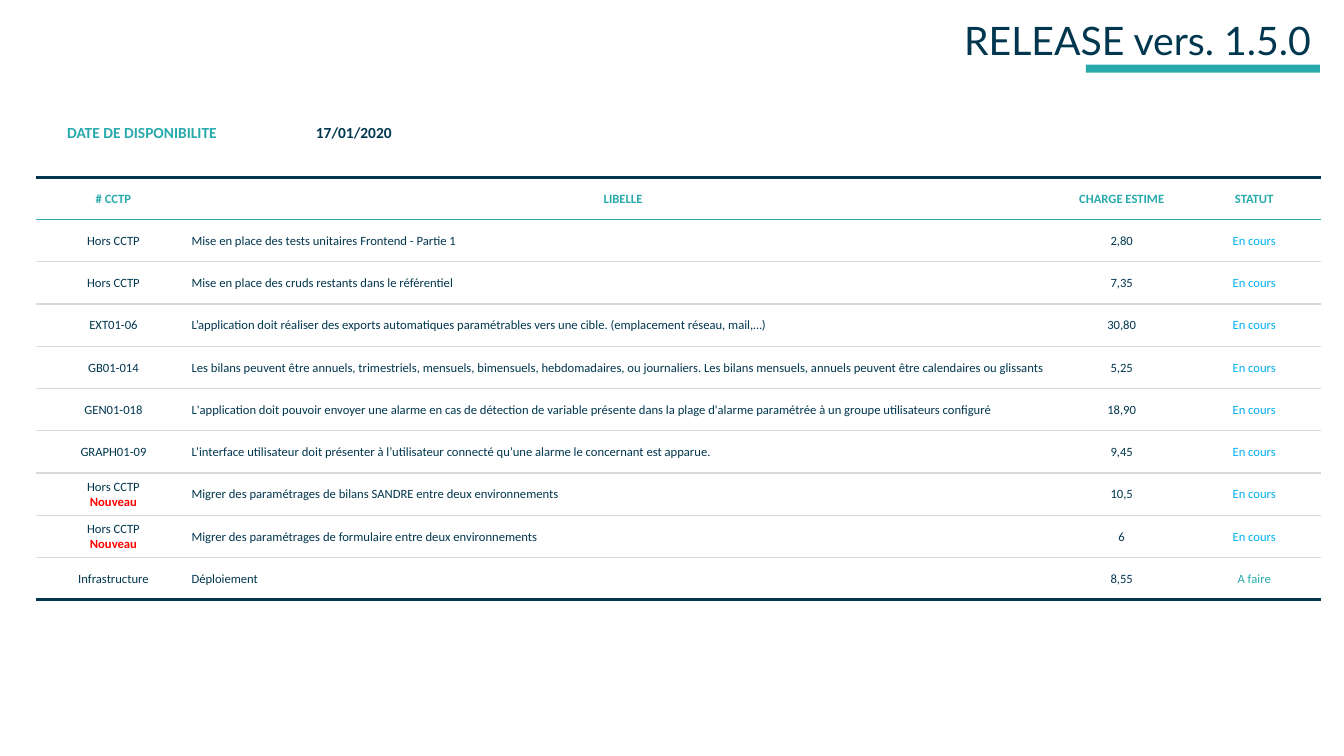
from lxml import etree
from pptx import Presentation
from pptx.dml.color import RGBColor
from pptx.enum.shapes import MSO_SHAPE
from pptx.enum.text import MSO_ANCHOR, MSO_AUTO_SIZE, PP_ALIGN
from pptx.oxml.ns import qn
from pptx.util import Inches, Pt

LEFT, CENTER, RIGHT = PP_ALIGN.LEFT, PP_ALIGN.CENTER, PP_ALIGN.RIGHT
MIDDLE, BOTTOM = MSO_ANCHOR.MIDDLE, MSO_ANCHOR.BOTTOM
NAVY, TEAL, BLUE, RED = "00374F", "28AAAD", "00B0F0", "FF0000"
GRAY, WHITE = "D9D9D9", "FFFFFF"
rgb = RGBColor.from_string


def fill_cell(cell, lines, size, align, top=None, bottom=None):
    """Write (text, colour, bold) lines; top and bottom are (colour, points)."""
    cell.vertical_anchor = MIDDLE
    cell.margin_left = cell.margin_right = cell.margin_top = Inches(0.01)
    cell.margin_bottom = 0
    cell.text = "\n".join(text for text, _, _ in lines)
    for paragraph, (_, colour, bold) in zip(cell.text_frame.paragraphs, lines):
        paragraph.alignment = align
        paragraph.font.name = "Calibri"
        paragraph.font.size = Pt(size)
        paragraph.font.bold = bold
        paragraph.font.color.rgb = rgb(colour)
    # Borders come before the fill in the cell properties
    properties = cell._tc.get_or_add_tcPr()
    for side, border in (("L", None), ("R", None), ("T", top), ("B", bottom)):
        edge = etree.SubElement(properties, qn(f"a:ln{side}"))
        if border:
            edge.set("w", str(Pt(border[1])))
            solid = etree.SubElement(edge, qn("a:solidFill"))
            etree.SubElement(solid, qn("a:srgbClr"), val=border[0])
        else:
            etree.SubElement(edge, qn("a:noFill"))
    cell.fill.solid()
    cell.fill.fore_color.rgb = rgb(WHITE)


def add_grid(left, top, widths, height, row_count):
    """Add an unbanded table with equal rows."""
    grid = slide.shapes.add_table(row_count, len(widths), Inches(left), Inches(top),
                                  Inches(sum(widths)), Inches(height * row_count)).table
    grid.first_row = grid.horz_banding = False
    for column, width in zip(grid.columns, widths):
        column.width = Inches(width)
    return grid


prs = Presentation()
prs.slide_width, prs.slide_height = Inches(13.33), Inches(7.5)
slide = prs.slides.add_slide(prs.slide_layouts[5])

# Title
title = slide.shapes.title
title.left, title.top = Inches(2.54), Inches(0)
title.width, title.height = Inches(10.56), Inches(0.68)
title.text = "RELEASE vers. 1.5.0"
title.text_frame.auto_size = MSO_AUTO_SIZE.NONE
title.text_frame.vertical_anchor = BOTTOM
heading = title.text_frame.paragraphs[0]
heading.alignment = RIGHT
heading.line_spacing = 0.9
heading.font.name = "Lato"
heading.font.size = Pt(28)
heading.font.color.rgb = rgb(NAVY)

# Accent bar under the title
accent = slide.shapes.add_shape(MSO_SHAPE.RECTANGLE, Inches(10.77), Inches(0.64),
                                Inches(2.32), Inches(0.08))
accent.shadow.inherit = False
accent.fill.solid()
accent.fill.fore_color.rgb = rgb(TEAL)
accent.line.fill.background()

# Release items
headers = ["# CCTP", "LIBELLE", "CHARGE ESTIME", "STATUT"]
items = [
    ("Hors CCTP", "Mise en place des tests unitaires Frontend - Partie 1", "2,80", "En cours"),
    ("Hors CCTP", "Mise en place des cruds restants dans le référentiel", "7,35", "En cours"),
    ("EXT01-06", "L’application doit réaliser des exports automatiques paramétrables vers une "
     "cible. (emplacement réseau, mail,…)", "30,80", "En cours"),
    ("GB01-014", "Les bilans peuvent être annuels, trimestriels, mensuels, bimensuels, "
     "hebdomadaires, ou journaliers. Les bilans mensuels, annuels peuvent être calendaires "
     "ou glissants", "5,25", "En cours"),
    ("GEN01-018", "L'application doit pouvoir envoyer une alarme en cas de détection de variable "
     "présente dans la plage d'alarme paramétrée à un groupe utilisateurs configuré",
     "18,90", "En cours"),
    ("GRAPH01-09", "L’interface utilisateur doit présenter à l’utilisateur connecté qu’une alarme "
     "le concernant est apparue.", "9,45", "En cours"),
    ("Hors CCTP\nNouveau", "Migrer des paramétrages de bilans SANDRE entre deux environnements",
     "10,5", "En cours"),
    ("Hors CCTP\nNouveau", "Migrer des paramétrages de formulaire entre deux environnements",
     "6", "En cours"),
    ("Infrastructure", "Déploiement", "8,55", "A faire"),
]
accents = {"En cours": BLUE, "A faire": TEAL, "Nouveau": RED}
# One rule above the header, one below each row
rules = [(NAVY, 2.25), (TEAL, 1)] + [(GRAY, 1)] * (len(items) - 1) + [(NAVY, 2.25)]
release = add_grid(0.36, 1.76, [1.53, 8.58, 1.31, 1.32], 0.419, len(items) + 1)
for r, row in enumerate([headers] + items):
    for c, text in enumerate(row):
        lines = [(line, TEAL if r == 0 else accents.get(line, NAVY),
                  r == 0 or line == "Nouveau") for line in text.split("\n")]
        align = LEFT if r > 0 and c == 1 else CENTER
        fill_cell(release.cell(r, c), lines, 9, align, rules[r], rules[r + 1])

# Availability date
availability = add_grid(0.36, 1.11, [2.1, 2.1], 0.41, 1)
for c, (text, colour) in enumerate([("DATE DE DISPONIBILITE", TEAL), ("17/01/2020", NAVY)]):
    fill_cell(availability.cell(0, c), [(text, colour, True)], 11, CENTER)

prs.save("out.pptx")
